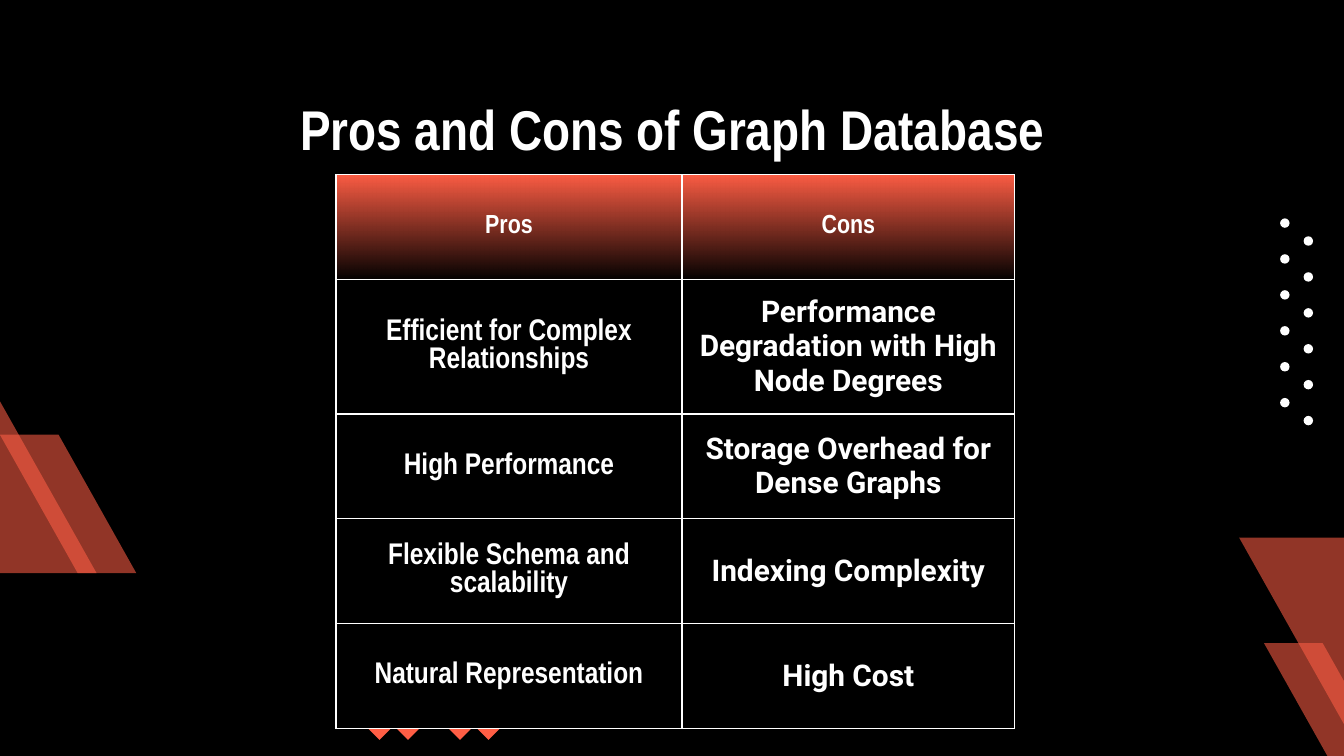
from dataclasses import dataclass

from lxml import etree
from pptx import Presentation
from pptx.dml.color import RGBColor
from pptx.enum.shapes import MSO_SHAPE
from pptx.enum.text import MSO_ANCHOR, PP_ALIGN
from pptx.oxml.ns import qn
from pptx.util import Inches, Pt

OVAL, CROSS, SLANT = MSO_SHAPE.OVAL, MSO_SHAPE.MATH_MULTIPLY, MSO_SHAPE.PARALLELOGRAM
CENTER, TOP, MIDDLE = PP_ALIGN.CENTER, MSO_ANCHOR.TOP, MSO_ANCHOR.MIDDLE

COLUMN = Inches(10) // 100  # the page is a grid of 100 columns, with square rows
PAGE_COLUMNS, PAGE_ROWS = 100, 56.25


@dataclass(frozen=True)
class Theme:
    paper: RGBColor = RGBColor(0x00, 0x00, 0x00)
    ink: RGBColor = RGBColor(0xFF, 0xFF, 0xFF)
    accent: RGBColor = RGBColor(0xFF, 0x5E, 0x45)
    accent_opacity: int = 57
    heading_font: str = "Arial Narrow"
    detail_font: str = "Roboto"
    title_size: int = 30
    header_size: int = 14
    body_size: int = 16
    border: float = 0.75


@dataclass(frozen=True)
class Box:
    """A rectangle in grid columns and rows."""
    left: float
    top: float
    width: float
    height: float

    def lengths(self):
        return [grid(n) for n in (self.left, self.top, self.width, self.height)]


THEME = Theme()
ROWS = [
    ("Pros", "Cons"),
    ("Efficient for Complex Relationships", "Performance Degradation with High Node Degrees"),
    ("High Performance", "Storage Overhead for Dense Graphs"),
    ("Flexible Schema and scalability", "Indexing Complexity"),
    ("Natural Representation", "High Cost"),
]


def grid(count):
    return round(count * COLUMN)


def set_opacity(properties, percent):
    """Make the last colour under the given properties see-through."""
    color = properties.findall(".//" + qn("a:srgbClr"))[-1]
    etree.SubElement(color, qn("a:alpha")).set("val", str(percent * 1000))


def add_plain_shape(page, kind, box, color):
    shape = page.shapes.add_shape(kind, *box.lengths())
    shape.shadow.inherit = False
    shape.fill.solid()
    shape.fill.fore_color.rgb = color
    shape.line.fill.background()
    return shape


def add_slant(page, box):
    shape = add_plain_shape(page, SLANT, box, THEME.accent)
    shape.adjustments[0] = 0.57
    properties = shape._element.spPr
    properties.xfrm.set("flipH", "1")
    set_opacity(properties, THEME.accent_opacity)


def add_dots(page, box, columns=2, rows=6, size=0.7):
    """Columns of dots, each one starting half a step lower than the last."""
    step = (box.height - size) / (rows - 0.5)
    for column in range(columns):
        left = box.left + column * (box.width - size) / (columns - 1)
        for row in range(rows):
            top = box.top + (row + column / 2) * step
            add_plain_shape(page, OVAL, Box(left, top, size, size), THEME.ink)


def add_crosses(page, box, count=2):
    width = box.width / count
    for index in range(count):
        cross = Box(box.left + index * width, box.top, width, box.height)
        add_plain_shape(page, CROSS, cross, THEME.accent).adjustments[0] = 0.235


def write(frame, text, font_name, size):
    para = frame.paragraphs[0]
    para.text = text
    para.alignment = CENTER
    para.font.name = font_name
    para.font.size = Pt(size)
    para.font.bold = True
    para.font.color.rgb = THEME.ink


def add_title(page, box, text):
    frame = page.shapes.add_textbox(*box.lengths()).text_frame
    frame.word_wrap = True
    frame.vertical_anchor = TOP
    frame.margin_left = frame.margin_right = frame.margin_bottom = grid(1)
    frame.margin_top = grid(2.1)
    write(frame, text, THEME.heading_font, THEME.title_size)


def fill_cell(cell, is_header):
    if not is_header:
        cell.fill.solid()
        cell.fill.fore_color.rgb = THEME.paper
        return
    cell.fill.gradient()
    cell.fill.gradient_angle = 270
    for stop, position in zip(cell.fill.gradient_stops, (0, 1)):
        stop.position = position
        stop.color.rgb = THEME.accent
    set_opacity(cell._tc.tcPr, 0)


def draw_borders(cell):
    for index, side in enumerate(("a:lnL", "a:lnR", "a:lnT", "a:lnB")):
        line = etree.Element(qn(side), w=str(Pt(THEME.border)))
        fill = etree.SubElement(line, qn("a:solidFill"))
        etree.SubElement(fill, qn("a:srgbClr"), val=str(THEME.ink))
        cell._tc.tcPr.insert(index, line)


def add_comparison(page, box, rows, shares):
    """A table whose column widths are shares of the box."""
    table = page.shapes.add_table(len(rows), len(shares), *box.lengths()).table
    table.first_row = table.horz_banding = False
    for column, share in zip(table.columns, shares):
        column.width = grid(box.width * share)
    for row_index, texts in enumerate(rows):
        is_header = row_index == 0
        size = THEME.header_size if is_header else THEME.body_size
        for column_index, text in enumerate(texts):
            cell = table.cell(row_index, column_index)
            is_detail = column_index == 1 and not is_header
            font_name = THEME.detail_font if is_detail else THEME.heading_font
            cell.vertical_anchor = MIDDLE
            cell.margin_left = cell.margin_right = grid(1)
            cell.margin_top = cell.margin_bottom = grid(1)
            write(cell.text_frame, text, font_name, size)
            fill_cell(cell, is_header)
            draw_borders(cell)


def build_page(deck):
    page = deck.slides.add_slide(deck.slide_layouts[6])
    page.background.fill.solid()
    page.background.fill.fore_color.rgb = THEME.paper
    add_dots(page, Box(95.25, 16.25, 2.45, 15.4))
    add_crosses(page, Box(26.3, 50, 12, 6))
    for box in (Box(92.2, 40, 21.4, 21.7), Box(-11.2, 24, 18.4, 18.65),
                Box(0, 32.35, 10.15, 10.3), Box(94.05, 47.85, 10.15, 10.3)):
        add_slant(page, box)
    add_title(page, Box(7.9, 4.9, 84.3, 6.3), "Pros and Cons of Graph Database")
    add_comparison(page, Box(25, 13, 50.5, 39), ROWS, (0.51, 0.49))


def main():
    deck = Presentation()
    deck.slide_width, deck.slide_height = grid(PAGE_COLUMNS), grid(PAGE_ROWS)
    build_page(deck)
    deck.save("out.pptx")


if __name__ == "__main__":
    main()
